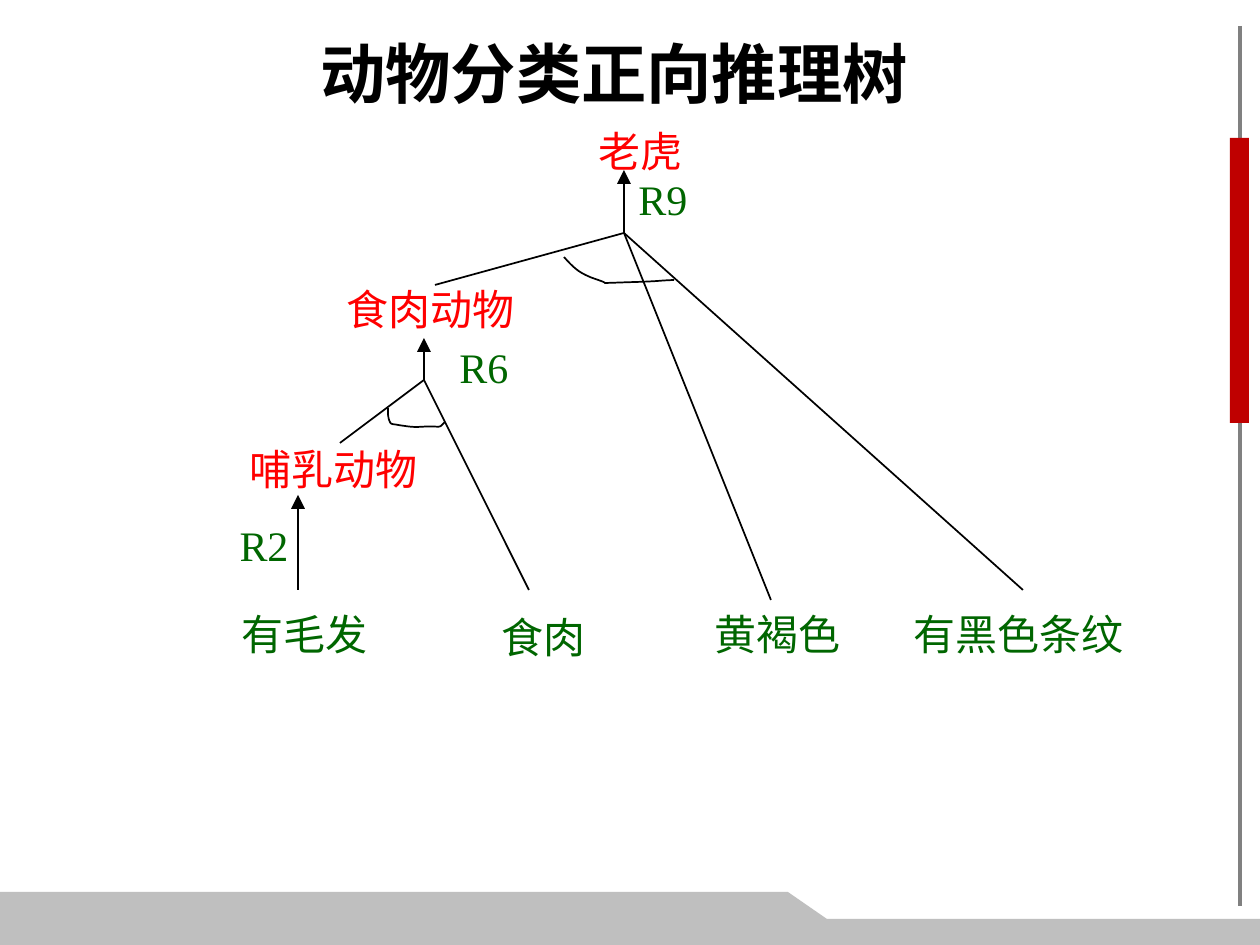
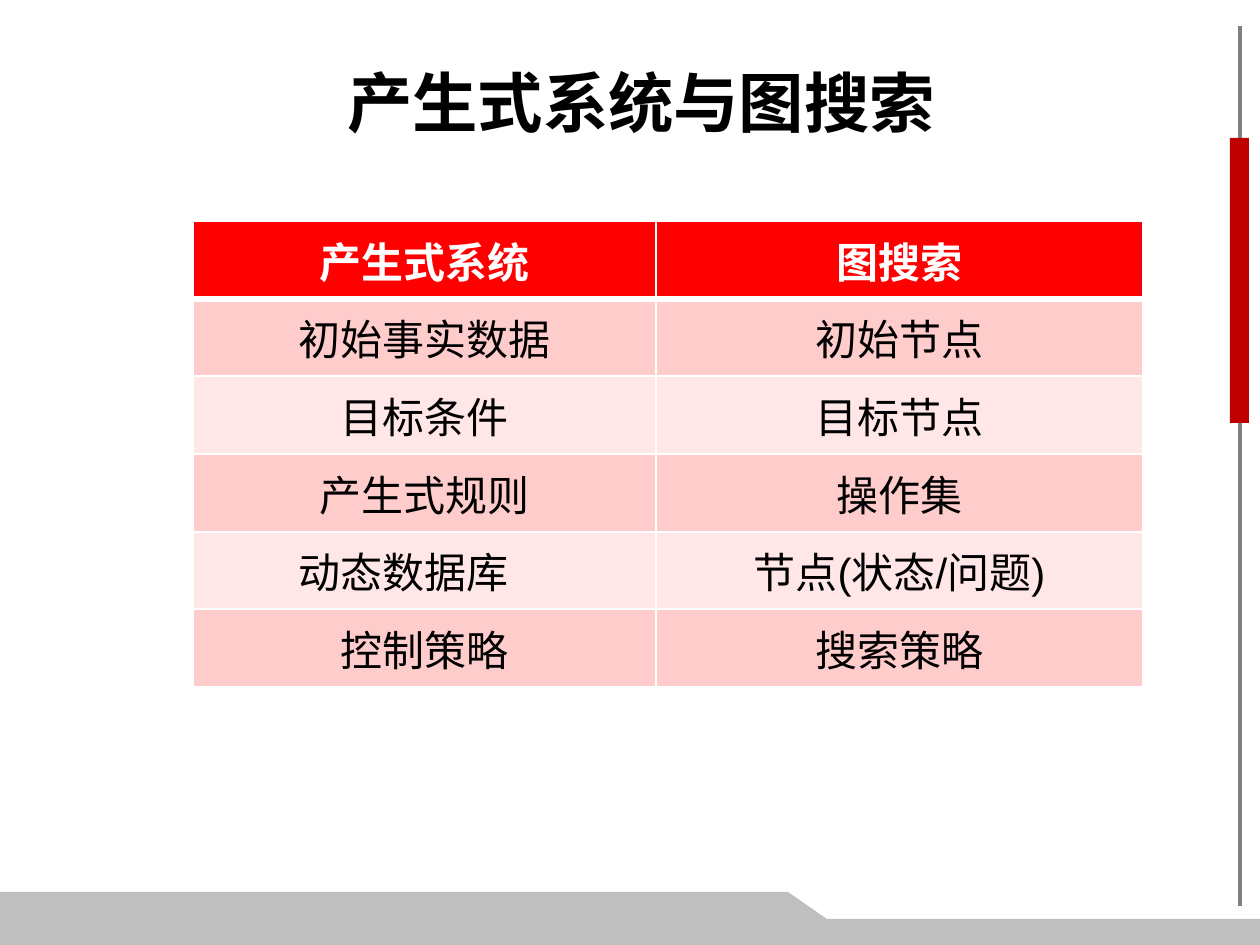
"""Builds two slides: a forward-reasoning tree for animals and a table relating production systems to graph search."""
from dataclasses import dataclass

from lxml import etree
from pptx import Presentation
from pptx import util as u
from pptx.dml.color import RGBColor
from pptx.enum import lang, shapes, text
from pptx.oxml.ns import qn

EMU_PER_PX = 914400 / 168
SLIDE_SIZE = 1260, 945


@dataclass(frozen=True)
class Theme:
    ink: str = "000000"
    white: str = "FFFFFF"
    conclusion: str = "FF0000"
    fact: str = "006600"
    rail: str = "808080"
    band: str = "BFBFBF"
    accent: str = "BF0000"
    table_head: str = "FF0000"
    table_stripes: tuple = ("FFCCCC", "FFE7E7")
    title_font: str = "Calibri"
    tree_font: str = "Times New Roman"
    table_font: str = "Arial"
    title_size: int = 28
    body_size: int = 18
    rail_width: float = 1.5
    tree_width: float = 0.75
    grid_width: int = 1
    head_rule_width: int = 3


THEME = Theme()

RAIL = (1240, 26), (1240, 906)
FOOTER = [(0, 892), (788, 892), (827, 919), (1260, 919), (1260, 945), (0, 945)]
ACCENT = 1230, 138, 19, 285

TREE_TITLE = "动物分类正向推理树", (78, -7, 1072, 158)
CONCLUSIONS = [("老虎", 582, 117, 119), ("食肉动物", 330, 275, 203), ("哺乳动物", 233, 435, 203)]
FACTS = [("有毛发", 225, 600, 161), ("食肉", 485, 603, 119),
         ("黄褐色", 698, 600, 161), ("有黑色条纹", 897, 600, 245)]
RULES = [("R2", 223, 511, 84), ("R6", 443, 333, 84), ("R9", 622, 165, 84)]
LABEL_HEIGHT = 67

TIGER_JOINT, CARNIVORE_JOINT = (624, 233), (424, 380)
BRANCHES = [
    (TIGER_JOINT, [(435, 285), (771, 600), (1023, 590)]),
    (CARNIVORE_JOINT, [(529, 590), (340, 443)]),
]
ARROWS = [((298, 590), (298, 495)), (CARNIVORE_JOINT, (424, 338)), (TIGER_JOINT, (624, 170))]
AND_ARCS = [
    [(564, 257), (573, 267), (578, 272), (590, 277), (595, 279), (605, 282), (605, 283),
     (672, 281), (650, 281), (674, 280)],
    [(388, 408), (388, 413), (388, 418), (390, 422), (391, 425), (395, 424), (398, 425),
     (405, 426), (410, 427), (417, 427), (444, 425), (437, 430), (445, 422)],
]
CURVE_STEPS = 8

SEARCH_TITLE = "产生式系统与图搜索", (74, 22, 1134, 158)
CORRESPONDENCE = [
    ("产生式系统", "图搜索"),
    ("初始事实数据", "初始节点"),
    ("目标条件", "目标节点"),
    ("产生式规则", "操作集"),
    ("动态数据库\t", "节点(状态/问题)"),
    ("控制策略", "搜索策略"),
]
TABLE_CORNER = 193, 221
COLUMN_WIDTHS = 463, 487
TABLE_HEIGHT = 466


def px(*lengths):
    return [u.Emu(round(length * EMU_PER_PX)) for length in lengths]


def rgb(colour):
    return RGBColor.from_string(colour)


def style(paragraph, font_name, size, colour, bold=False):
    for run in paragraph.runs:
        font = run.font
        font.name, font.size, font.bold = font_name, u.Pt(size), bold
        font.color.rgb = rgb(colour)
        font.language_id = lang.MSO_LANGUAGE_ID.SIMPLIFIED_CHINESE


def paint(shape, colour):
    shape.shadow.inherit = False
    shape.fill.solid()
    shape.fill.fore_color.rgb = rgb(colour)
    shape.line.fill.background()


def add_line(slide, start, end, colour, width, arrow=False):
    line = slide.shapes.add_connector(shapes.MSO_CONNECTOR.STRAIGHT, *px(*start, *end))
    line.line.color.rgb = rgb(colour)
    line.line.width = u.Pt(width)
    if arrow:
        etree.SubElement(line.line._get_or_add_ln(), qn("a:tailEnd"), type="triangle")
    etree.SubElement(line._element.spPr, qn("a:effectLst"))


def add_outline(slide, points, close):
    start, *rest = [px(*point) for point in points]
    builder = slide.shapes.build_freeform(*start)
    builder.add_line_segments(rest, close=close)
    return builder.convert_to_shape()


def curve_points(controls):
    points = [controls[0]]
    for first in range(0, len(controls) - 1, 3):
        a, b, c, d = controls[first:first + 4]
        for step in range(1, CURVE_STEPS + 1):
            t = step / CURVE_STEPS
            s = 1 - t
            weights = s ** 3, 3 * s * s * t, 3 * s * t * t, t ** 3
            points.append(tuple(sum(w * p[axis] for w, p in zip(weights, (a, b, c, d)))
                                for axis in (0, 1)))
    return points


def add_label(slide, wording, left, top, width, colour):
    label = slide.shapes.add_textbox(*px(left, top, width, LABEL_HEIGHT))
    frame = label.text_frame
    frame.text = wording
    frame.word_wrap = False
    frame.auto_size = text.MSO_AUTO_SIZE.SHAPE_TO_FIT_TEXT
    style(frame.paragraphs[0], THEME.tree_font, THEME.body_size, colour)


def add_slide(deck, heading, area):
    slide = deck.slides.add_slide(deck.slide_layouts[6])
    add_line(slide, *RAIL, THEME.rail, THEME.rail_width)
    paint(add_outline(slide, FOOTER, True), THEME.band)
    paint(slide.shapes.add_shape(shapes.MSO_SHAPE.RECTANGLE, *px(*ACCENT)), THEME.accent)

    frame = slide.shapes.add_textbox(*px(*area)).text_frame
    frame.text = heading
    frame.word_wrap = True
    frame.vertical_anchor = text.MSO_ANCHOR.MIDDLE
    frame.paragraphs[0].alignment = text.PP_ALIGN.CENTER
    style(frame.paragraphs[0], THEME.title_font, THEME.title_size, THEME.ink, True)
    return slide


def add_tree(slide):
    for labels, colour in ((CONCLUSIONS, THEME.conclusion), (FACTS, THEME.fact),
                           (RULES, THEME.fact)):
        for label in labels:
            add_label(slide, *label, colour)
    for joint, ends in BRANCHES:
        for end in ends:
            add_line(slide, joint, end, THEME.ink, THEME.tree_width)
    for start, end in ARROWS:
        add_line(slide, start, end, THEME.ink, THEME.tree_width, arrow=True)
    for controls in AND_ARCS:
        arc = add_outline(slide, curve_points(controls), False)
        arc.shadow.inherit = False
        arc.fill.background()
        arc.line.color.rgb = rgb(THEME.ink)
        arc.line.width = u.Pt(THEME.tree_width)


def set_borders(cell, top, bottom):
    properties = cell._tc.get_or_add_tcPr()
    widths = {"L": THEME.grid_width, "R": THEME.grid_width, "T": top, "B": bottom}
    for side, width in widths.items():
        line = etree.SubElement(properties, qn(f"a:ln{side}"), w=str(u.Pt(width)))
        fill = etree.SubElement(line, qn("a:solidFill"))
        etree.SubElement(fill, qn("a:srgbClr"), val=THEME.white)


def add_correspondence(slide):
    size = sum(COLUMN_WIDTHS), TABLE_HEIGHT
    table = slide.shapes.add_table(len(CORRESPONDENCE), len(COLUMN_WIDTHS),
                                   *px(*TABLE_CORNER, *size)).table
    for column, width in zip(table.columns, px(*COLUMN_WIDTHS)):
        column.width = width
    for r, row in enumerate(CORRESPONDENCE):
        head = r == 0
        top = THEME.head_rule_width if r == 1 else THEME.grid_width
        bottom = THEME.head_rule_width if head else THEME.grid_width
        for c, wording in enumerate(row):
            cell = table.cell(r, c)
            cell.text = wording
            set_borders(cell, top, bottom)
            cell.fill.solid()
            cell.fill.fore_color.rgb = rgb(
                THEME.table_head if head else THEME.table_stripes[(r - 1) % 2])
            paragraph = cell.text_frame.paragraphs[0]
            paragraph.alignment = text.PP_ALIGN.CENTER
            style(paragraph, THEME.table_font, THEME.body_size,
                  THEME.white if head else THEME.ink, head)


def main():
    deck = Presentation()
    deck.slide_width, deck.slide_height = px(*SLIDE_SIZE)
    add_tree(add_slide(deck, *TREE_TITLE))
    add_correspondence(add_slide(deck, *SEARCH_TITLE))
    deck.save("out.pptx")


if __name__ == "__main__":
    main()
